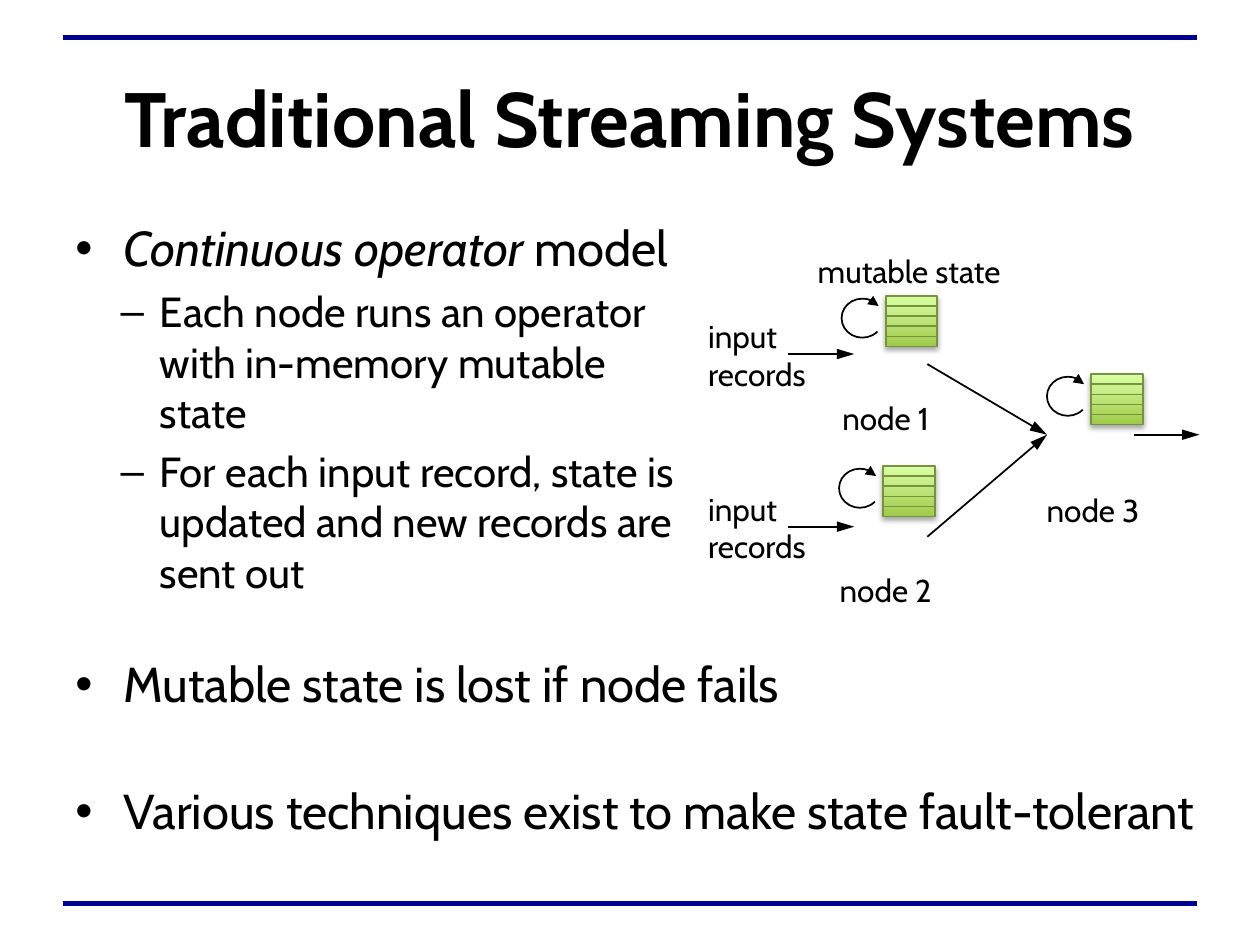
from pptx import Presentation
from pptx.dml.color import RGBColor
from pptx.enum.shapes import MSO_CONNECTOR, MSO_SHAPE
from pptx.enum.text import MSO_ANCHOR, PP_ALIGN
from pptx.oxml.ns import qn
from pptx.util import Inches, Pt
from lxml.etree import SubElement

FONT = "Cabin"
COLORS = {"text": "000000", "rule": "000090", "state_edge": "77933C",
          "state_bottom": "A0CA4A", "state_top": "DAFFA5"}

TITLE = "Traditional Streaming Systems"

# Marker, left margin, hanging indent, size, space before
TOPIC = ("•", 0.38, 0.38, 28, 5.6)
DETAIL = ("–", 0.81, 0.31, 24, 4.8)
SPACED_TOPIC = TOPIC[:4] + (39,)

# Box, then (level, text runs); a run is (words, italic)
LISTS = [
    ((0.5, 1.68, 6.74, 0.6),
     [(TOPIC, [("Continuous operator ", True), ("model", False)])]),
    ((0.36, 2.22, 5.28, 2.92),
     [(DETAIL, [("Each node runs an operator with in-memory mutable state", False)]),
      (DETAIL, [("For each input record, state is updated and new records are sent out", False)])]),
    ((0.5, 5.14, 9.11, 1.68),
     [(TOPIC, [("Mutable state is lost if node fails", False)]),
      (SPACED_TOPIC, [("Various techniques exist to make state fault-tolerant", False)])]),
]

# Label, label box, top left of the state block
NODES = [
    ("node 1", (6.53, 3.14, 1, 0.36), (7.03, 2.35)),
    ("node 2", (6.51, 4.5, 1.04, 0.36), (7.01, 3.7)),
    ("node 3", (8.17, 3.87, 1.01, 0.36), (8.66, 2.97)),
]
INPUT_ARROW_YS = [2.81, 4.18]
RECORD_FLOWS = [((7.36, 2.89), (8.31, 3.45)), ((7.36, 4.26), (8.31, 3.45)),
                ((9, 3.45), (9.52, 3.45))]
STATE_WIDTH, STATE_HEIGHT, STATE_ROWS = 0.41, 0.4, 5

prs = Presentation()
prs.slide_width, prs.slide_height = Inches(10), Inches(7.5)
slide = prs.slides.add_slide(prs.slide_layouts[6])
shapes = slide.shapes


def color(name):
    return RGBColor.from_string(COLORS[name])


def style_font(font, size, bold=False, italic=False):
    font.name, font.size, font.bold, font.italic = FONT, Pt(size), bold, italic
    font.color.rgb = color("text")


def set_line(shape, name, width):
    shape.line.color.rgb = color(name)
    shape.line.width = Pt(width)


def add_head(shape, length):
    ln = shape._element.spPr.find(qn("a:ln"))
    SubElement(ln, qn("a:tailEnd"), type="triangle", w="med", len=length)


def add_line(start, end, name="text", width=1, arrow=False):
    line = shapes.add_connector(MSO_CONNECTOR.STRAIGHT,
                                *(Inches(v) for v in (*start, *end)))
    set_line(line, name, width)
    SubElement(line._element.spPr, qn("a:effectLst"))
    if arrow:
        add_head(line, "lg")


def add_text_frame(box, insets=(0.1, 0.05, 0.1, 0.05), wrap=True,
                   anchor=MSO_ANCHOR.TOP):
    frame = shapes.add_textbox(*(Inches(v) for v in box)).text_frame
    frame.word_wrap, frame.vertical_anchor = wrap, anchor
    (frame.margin_left, frame.margin_top,
     frame.margin_right, frame.margin_bottom) = (Inches(v) for v in insets)
    return frame


def add_label(text, box, size=18, bold=False, align=PP_ALIGN.CENTER, **frame_options):
    frame = add_text_frame(box, **frame_options)
    frame.text = text
    for paragraph in frame.paragraphs:
        paragraph.alignment = align
        for run in paragraph.runs:
            style_font(run.font, size, bold)


def add_list(box, items):
    frame = add_text_frame(box)
    for i, ((marker, margin, hanging, size, space), runs) in enumerate(items):
        paragraph = frame.add_paragraph() if i else frame.paragraphs[0]
        pPr = paragraph._p.get_or_add_pPr()
        pPr.set("marL", str(Inches(margin)))
        pPr.set("indent", str(-Inches(hanging)))
        SubElement(pPr, qn("a:buFont"), typeface="Arial")
        SubElement(pPr, qn("a:buChar"), char=marker)
        if i:
            paragraph.space_before = Pt(space)
        for words, italic in runs:
            run = paragraph.add_run()
            run.text = words
            style_font(run.font, size, italic=italic)


def add_state(left, top):
    """Draw the striped state block and the update loop at its left."""
    block = shapes.add_shape(MSO_SHAPE.RECTANGLE, Inches(left), Inches(top),
                             Inches(STATE_WIDTH), Inches(STATE_HEIGHT))
    block.fill.gradient()
    block.fill.gradient_angle = 90
    for stop, name in zip(block.fill.gradient_stops, ("state_bottom", "state_top")):
        stop.color.rgb = color(name)
    set_line(block, "state_edge", 1)
    block.shadow.inherit = False
    effects = block._element.spPr.find(qn("a:effectLst"))
    shadow = SubElement(effects, qn("a:outerShdw"), blurRad=str(Pt(3.1)),
                        dist=str(Pt(1.8)), dir="5400000", rotWithShape="0")
    shade = SubElement(shadow, qn("a:srgbClr"), val=COLORS["text"])
    SubElement(shade, qn("a:alpha"), val="35000")

    for row in range(1, STATE_ROWS):
        y = top + row * STATE_HEIGHT / STATE_ROWS
        add_line((left, y), (left + STATE_WIDTH, y), "state_edge")

    loop = shapes.add_shape(MSO_SHAPE.ARC, Inches(left - 0.35), Inches(top + 0.02),
                            Inches(0.33), Inches(0.31))
    loop.adjustments[0], loop.adjustments[1] = 25.04, 194.06
    loop.fill.background()
    loop.shadow.inherit = False
    set_line(loop, "text", 1)
    add_head(loop, "med")


for y in (0.3, 7.17):
    add_line((0.5, y), (9.5, y), "rule", 3)
add_label(TITLE, (0.5, 0.3, 9, 1.25), 44, True, anchor=MSO_ANCHOR.MIDDLE)
for box, items in LISTS:
    add_list(box, items)

for start, end in RECORD_FLOWS:
    add_line(start, end, arrow=True)
for name, box, corner in NODES:
    add_state(*corner)
    add_label(name, box, insets=(0, 0.03, 0, 0.03))
add_label("mutable state", (6.39, 1.95, 1.65, 0.4), wrap=False)
for y in INPUT_ARROW_YS:
    add_line((6.25, y), (6.78, y), arrow=True)
    add_label("input\nrecords", (5.62, y - 0.35, 0.88, 0.71), align=PP_ALIGN.LEFT,
              insets=(0, 0.05, 0.1, 0.05), wrap=False, anchor=MSO_ANCHOR.MIDDLE)

prs.save("out.pptx")
